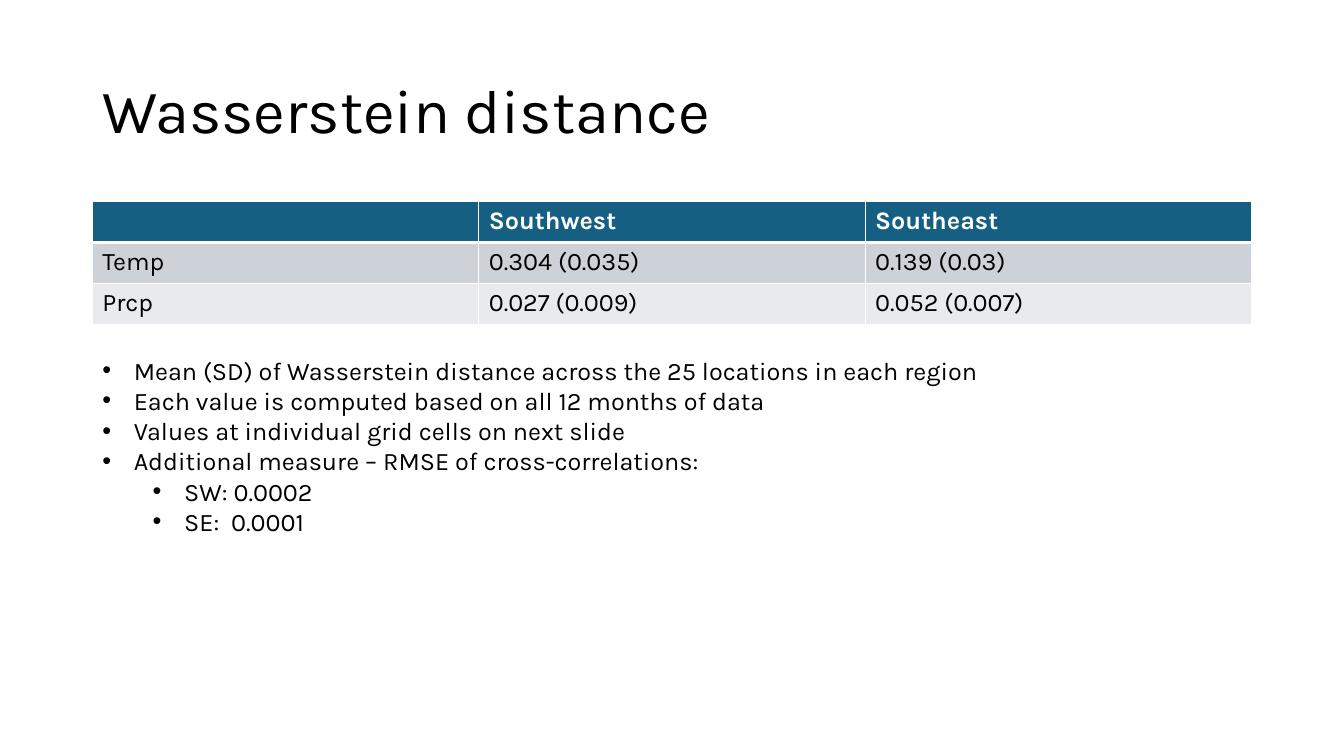
from dataclasses import dataclass

from lxml import etree
from pptx import Presentation
from pptx.dml.color import RGBColor
from pptx.enum.text import MSO_ANCHOR
from pptx.oxml.ns import qn
from pptx.util import Pt

MIDDLE = MSO_ANCHOR.MIDDLE
BLANK_LAYOUT = 6


@dataclass(frozen=True)
class Theme:
    font: str = "Karla"
    bullet_font: str = "Arial"
    title_size: int = 44
    body_size: int = 18
    text: str = "000000"
    light: str = "FFFFFF"
    header: str = "156082"
    bands: tuple = ("CCD2D8", "E8EAED")


theme = Theme()


def add_run(paragraph, text, size, color, bold=False):
    run = paragraph.add_run()
    run.text = text
    run.font.name = theme.font
    run.font.size = Pt(size)
    run.font.bold = bold
    run.font.color.rgb = RGBColor.from_string(color)


def add_border(cell, side, width):
    line = etree.SubElement(cell._tc.get_or_add_tcPr(), qn(f"a:{side}"), w=str(Pt(width)))
    fill = etree.SubElement(line, qn("a:solidFill"))
    etree.SubElement(fill, qn("a:srgbClr"), val=theme.light)


presentation = Presentation()
presentation.slide_width = Pt(960)
presentation.slide_height = Pt(540)
slide = presentation.slides.add_slide(presentation.slide_layouts[BLANK_LAYOUT])

left, width = Pt(66), Pt(828)

# Title
title = slide.shapes.add_textbox(left, Pt(28.75), width, Pt(104.4)).text_frame
title.word_wrap = True
title.vertical_anchor = MIDDLE
title.paragraphs[0].line_spacing = 0.9
add_run(title.paragraphs[0], "Wasserstein distance", theme.title_size, theme.text)

# Table of distances by region
distances = [
    ("", "Southwest", "Southeast"),
    ("Temp", "0.304 (0.035)", "0.139 (0.03)"),
    ("Prcp", "0.027 (0.009)", "0.052 (0.007)"),
]
row_height = Pt(29.2)
table = slide.shapes.add_table(
    len(distances), len(distances[0]), left, Pt(144), width, row_height * len(distances)
).table
for row_index, row in enumerate(distances):
    table.rows[row_index].height = row_height
    is_header = row_index == 0
    cell_fill = theme.header if is_header else theme.bands[row_index - 1]
    text_color = theme.light if is_header else theme.text
    top_width = 3 if row_index == 1 else 1
    bottom_width = 3 if is_header else 1
    for column_index, value in enumerate(row):
        cell = table.cell(row_index, column_index)
        for side, line_width in (("lnL", 1), ("lnR", 1), ("lnT", top_width), ("lnB", bottom_width)):
            add_border(cell, side, line_width)
        cell.fill.solid()
        cell.fill.fore_color.rgb = RGBColor.from_string(cell_fill)
        if value:
            add_run(cell.text_frame.paragraphs[0], value, theme.body_size, text_color, is_header)

# Bulleted notes: level and text
notes = [
    (0, "Mean (SD) of Wasserstein distance across the 25 locations in each region"),
    (0, "Each value is computed based on all 12 months of data"),
    (0, "Values at individual grid cells on next slide"),
    (0, "Additional measure – RMSE of cross-correlations:"),
    (1, "SW: 0.0002"),
    (1, "SE:  0.0001"),
]
hanging, level_step = 22.5, 36
notes_frame = slide.shapes.add_textbox(left, Pt(250), width, Pt(138)).text_frame
notes_frame.word_wrap = True
for index, (level, text) in enumerate(notes):
    paragraph = notes_frame.add_paragraph() if index else notes_frame.paragraphs[0]
    paragraph.level = level
    properties = paragraph._p.get_or_add_pPr()
    properties.set("marL", str(Pt(hanging + level * level_step)))
    properties.set("indent", str(-Pt(hanging)))
    etree.SubElement(properties, qn("a:buFont"), typeface=theme.bullet_font)
    etree.SubElement(properties, qn("a:buChar"), char="•")
    add_run(paragraph, text, theme.body_size, theme.text)

presentation.save("out.pptx")
